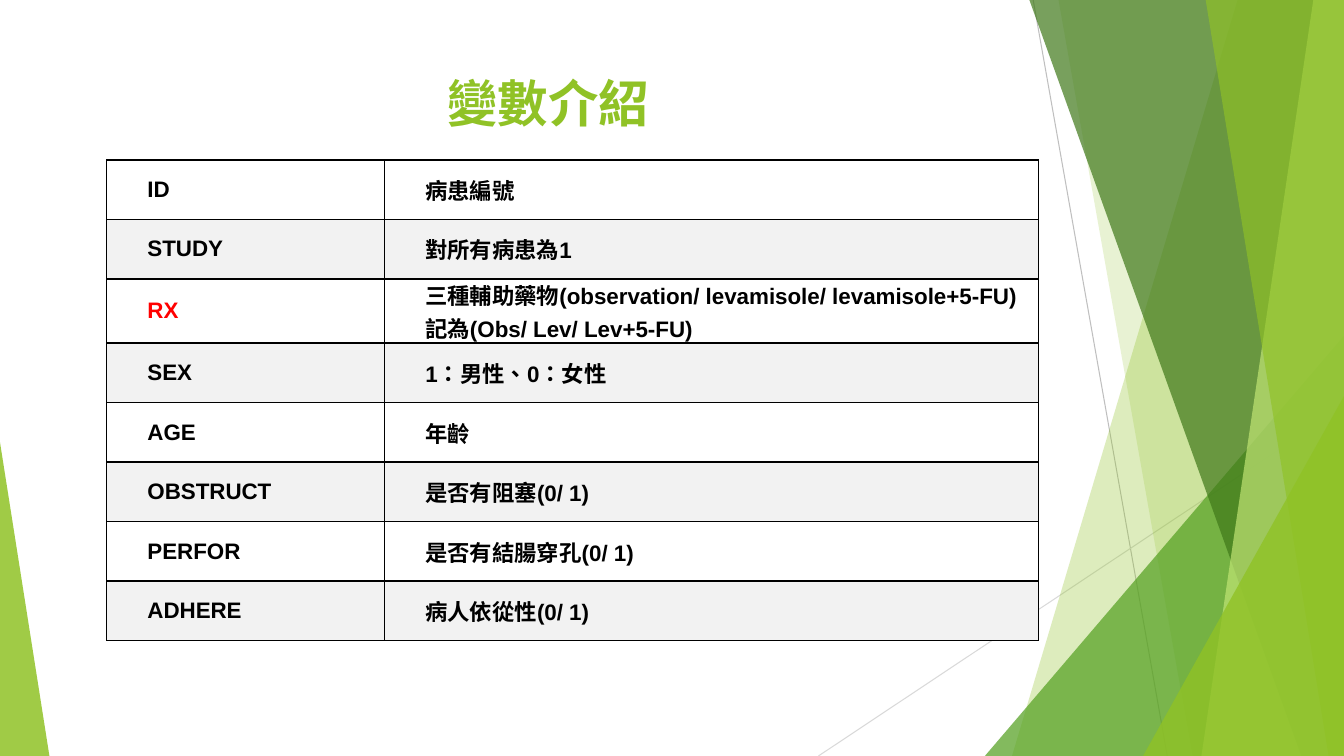
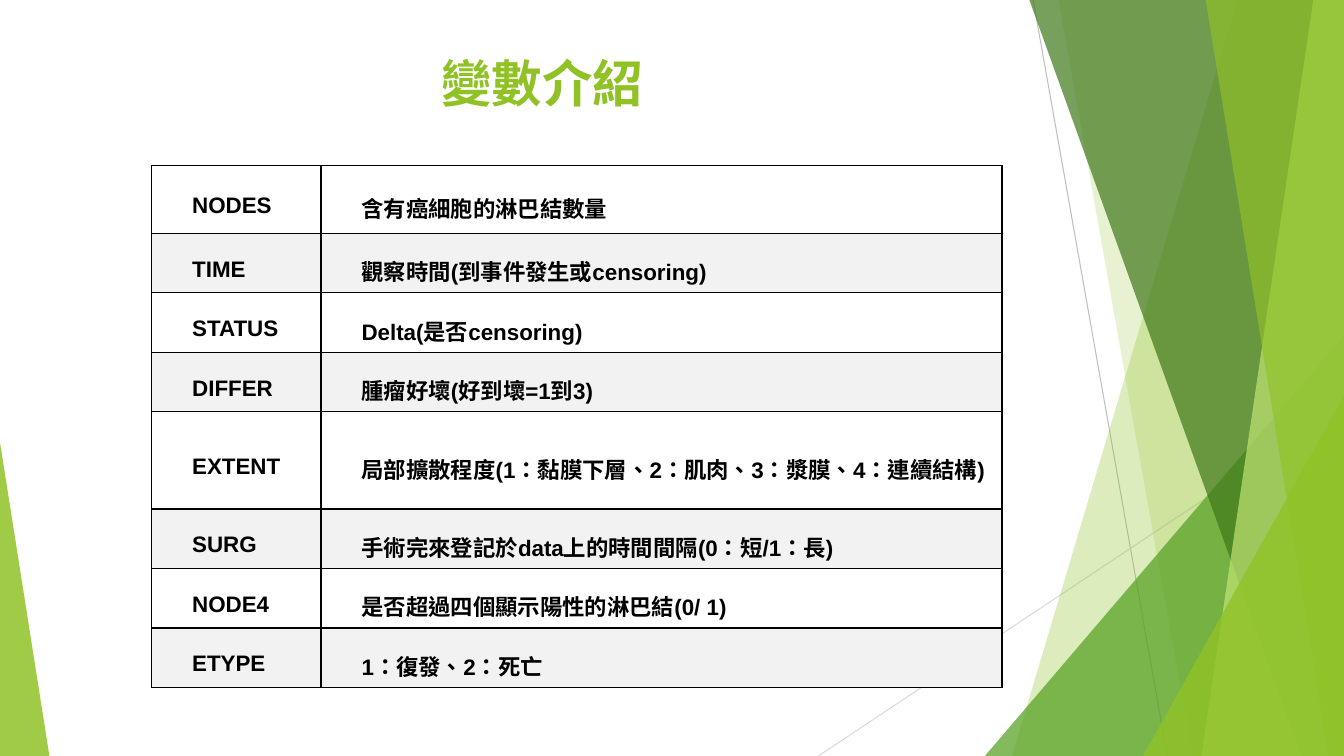
from lxml import etree
from pptx import Presentation
from pptx.dml.color import RGBColor
from pptx.enum import lang, shapes, text
from pptx.oxml import ns
from pptx.util import Pt

GREEN, BLACK, RED, WHITE, GREY = "90C226", "000000", "FF0000", "FFFFFF", "F2F2F2"
WIDTH, HEIGHT, BLEED = 960, 540, -0.6
ROW_HEIGHT = 42.5

guide_lines = [
    ((738, 0), (833.8, HEIGHT), "BFBFBF"),
    ((WIDTH, 290.2), (584.6, HEIGHT), "D9D9D9"),
]
facets = [
    ("band", (884.2, 722.9), GREEN, 30),
    ("band", (756, 851.8), GREEN, 20),
    ("triangle", (703.5, 239.8, 256.5, 1), "54A021", 72),
    ("band", (735.1, 929.5), "3F7819", 70),
    ("band", (938.2, 858.2), "C0E474", 70),
    ("band", (861.1, 949), GREEN, 65),
    ("triangle", (816.5, 283, 143.5, 1), GREEN, 80),
    ("triangle", (0, 316, 35.3, 0), GREEN, 85),
]
variable_pages = [
    {
        "title_box": (53.3, 48.2, 676.8, 103.7),
        "corner": (76.3, 114.3),
        "columns": (198.5, 467),
        "tall_rows": {"RX": 45.8},
        "spacing": 1.0,
        "variables": [
            ("ID", "病患編號"),
            ("STUDY", "對所有病患為1"),
            ("RX", "三種輔助藥物(observation/ levamisole/ levamisole+5-FU)\n記為(Obs/ Lev/ Lev+5-FU)"),
            ("SEX", "1：男性、0：女性"),
            ("AGE", "年齡"),
            ("OBSTRUCT", "是否有阻塞(0/ 1)"),
            ("PERFOR", "是否有結腸穿孔(0/ 1)"),
            ("ADHERE", "病人依從性(0/ 1)"),
        ],
    },
    {
        "title_box": (49, 33.8, 676.8, 64.8),
        "corner": (108.3, 118.5),
        "columns": (121, 486.5),
        "tall_rows": {"NODES": 48.2, "EXTENT": 69.4},
        "spacing": 1.5,
        "variables": [
            ("NODES", "含有癌細胞的淋巴結數量"),
            ("TIME", "觀察時間(到事件發生或censoring)"),
            ("STATUS", "Delta(是否censoring)"),
            ("DIFFER", "腫瘤好壞(好到壞=1到3)"),
            ("EXTENT", "局部擴散程度(1：黏膜下層、2：肌肉、3：漿膜、4：連續結構)"),
            ("SURG", "手術完來登記於data上的時間間隔(0：短/1：長)"),
            ("NODE4", "是否超過四個顯示陽性的淋巴結(0/ 1)"),
            ("ETYPE", "1：復發、2：死亡"),
        ],
    },
]


def paint(fill, colour, opacity=100):
    fill.solid()
    fill.fore_color.rgb = RGBColor.from_string(colour)
    if opacity < 100:
        tint = fill.fore_color._xFill[0]
        etree.SubElement(tint, ns.qn("a:alpha"), val=str(opacity * 1000))


def write(frame, words, size=16, font="Arial", colour=BLACK, align=None, spacing=1.0, indent=0):
    for number, line in enumerate(words.split("\n")):
        paragraph = frame.add_paragraph() if number else frame.paragraphs[0]
        paragraph.alignment = align
        paragraph.line_spacing = spacing
        paragraph._p.get_or_add_pPr().set("marL", str(Pt(indent)))
        run = paragraph.add_run()
        run.text = line
        run.font.size, run.font.name, run.font.bold = Pt(size), font, True
        run.font.language_id = lang.MSO_LANGUAGE_ID.TRADITIONAL_CHINESE
        paint(run.font.fill, colour)


deck = Presentation()
deck.slide_width, deck.slide_height = Pt(WIDTH), Pt(HEIGHT)

for page in variable_pages:
    slide = deck.slides.add_slide(deck.slide_layouts[6])

    for start, end, colour in guide_lines:
        guide = slide.shapes.add_connector(
            shapes.MSO_CONNECTOR.STRAIGHT, *[Pt(v) for v in start + end])
        guide.line.width = Pt(0.75)
        paint(guide.line.fill, colour)
        etree.SubElement(guide._element.spPr, ns.qn("a:effectLst"))

    for kind, geometry, colour, opacity in facets:
        if kind == "band":
            top_x, bottom_x = geometry
            corners = [(WIDTH, BLEED), (WIDTH, HEIGHT), (bottom_x, HEIGHT)]
            outline = slide.shapes.build_freeform(Pt(top_x), Pt(BLEED))
            outline.add_line_segments([(Pt(x), Pt(y)) for x, y in corners], close=True)
            facet = outline.convert_to_shape()
        else:
            left, top, width, apex = geometry
            facet = slide.shapes.add_shape(
                shapes.MSO_SHAPE.ISOSCELES_TRIANGLE,
                Pt(left), Pt(top), Pt(width), Pt(HEIGHT - top))
            facet.adjustments[0] = apex
        facet.shadow.inherit = False
        facet.line.fill.background()
        paint(facet.fill, colour, opacity)

    title = slide.shapes.add_textbox(*[Pt(v) for v in page["title_box"]]).text_frame
    title.word_wrap = True
    write(title, "變數介紹", size=36, font="Roboto", colour=GREEN, align=text.PP_ALIGN.CENTER)

    variables = page["variables"]
    row_heights = [page["tall_rows"].get(name, ROW_HEIGHT) for name, _ in variables]
    left, top = page["corner"]
    glossary = slide.shapes.add_table(
        len(variables), 2, Pt(left), Pt(top),
        Pt(sum(page["columns"])), Pt(sum(row_heights))).table
    glossary.first_row = glossary.horz_banding = False
    for column, width in zip(glossary.columns, page["columns"]):
        column.width = Pt(width)

    for index, (entry, height) in enumerate(zip(variables, row_heights)):
        glossary.rows[index].height = Pt(height)
        for position, words in enumerate(entry):
            cell = glossary.cell(index, position)
            cell.vertical_anchor = text.MSO_ANCHOR.MIDDLE
            cell.margin_left = cell.margin_right = Pt(5)
            cell.margin_top = cell.margin_bottom = 0
            for side in ("lnL", "lnR", "lnT", "lnB"):
                border = etree.SubElement(
                    cell._tc.get_or_add_tcPr(), ns.qn("a:" + side), w=str(Pt(1)))
                ink = etree.SubElement(border, ns.qn("a:solidFill"))
                etree.SubElement(ink, ns.qn("a:srgbClr"), val=BLACK)
            paint(cell.fill, GREY if index % 2 else WHITE)
            write(cell.text_frame, words, colour=RED if words == "RX" else BLACK,
                  spacing=page["spacing"], indent=24)

deck.save("out.pptx")
